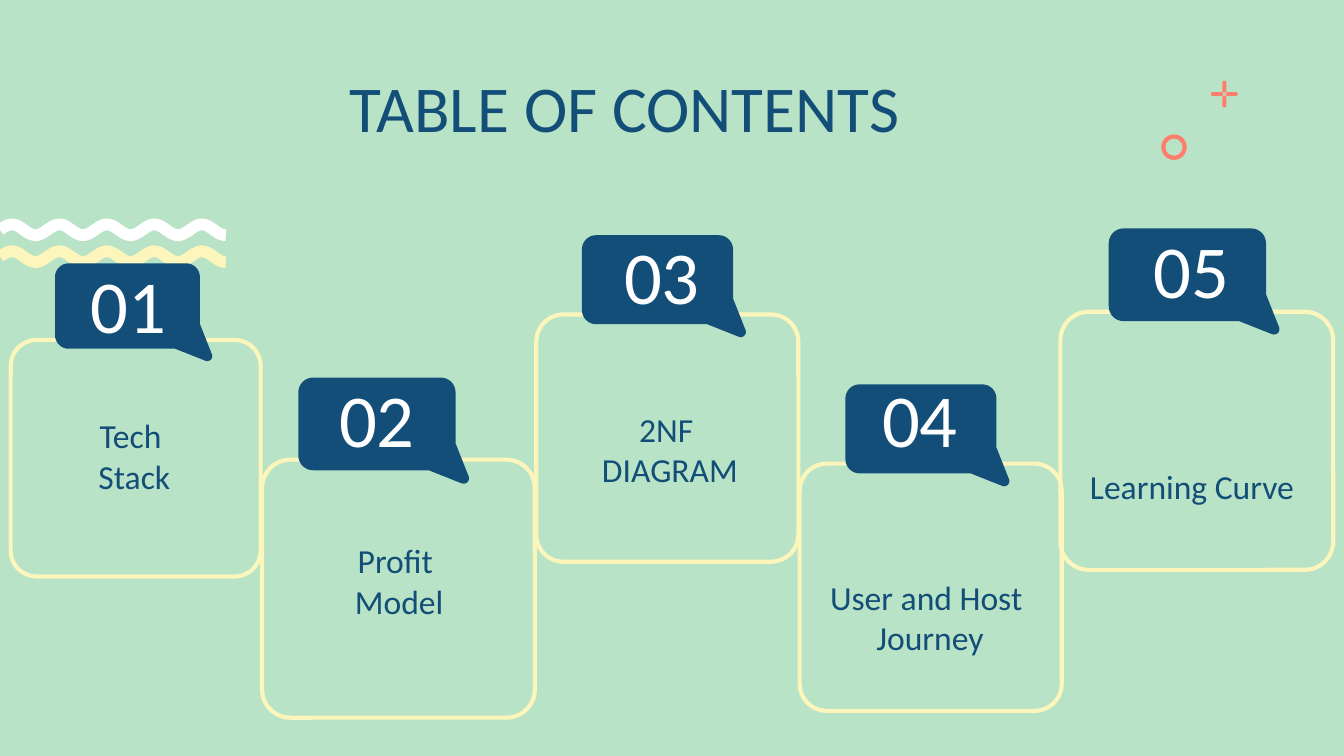
from math import cos, pi, radians, sin

from pptx import Presentation
from pptx.dml.color import RGBColor
from pptx.enum.shapes import MSO_SHAPE
from pptx.enum.text import MSO_ANCHOR, PP_ALIGN
from pptx.util import Inches, Pt

COLORS = {
    "mint": "B9E3C6",
    "navy": "124E78",
    "cream": "FCF6BD",
    "coral": "FF7E6B",
    "white": "FFFFFF",
}
FONT = "Calibri"

# number, card box, bubble left/top/width, number left/top, label lines, label box
SECTIONS = [
    ("01", (0.08, 2.53, 1.86, 1.76), (0.41, 1.96, 1.17), (0.37, 1.96),
     ["Tech ", "Stack"], (0.07, 3.06, 1.86, 0.63)),
    ("02", (1.95, 3.42, 2.03, 1.92), (2.22, 2.81, 1.27), (2.22, 2.81),
     ["Profit ", "Model"], (1.97, 4.12, 2, 0.5)),
    ("03", (3.99, 2.34, 1.95, 1.84), (4.33, 1.75, 1.22), (4.34, 1.75),
     ["2NF ", "DIAGRAM"], (4.01, 3.01, 1.95, 0.63)),
    ("04", (5.95, 3.45, 1.95, 1.84), (6.29, 2.86, 1.22), (6.26, 2.81),
     ["User and Host ", "Journey"], (5.92, 4.39, 2, 0.5)),
    ("05", (7.89, 2.32, 2.03, 1.92), (8.25, 1.7, 1.27), (8.28, 1.7),
     ["Learning Curve"], (7.87, 3.27, 2, 0.5)),
]


def color(name):
    return RGBColor.from_string(COLORS[name])


def arc(x, y, radius, start, end):
    """Points along a circle, with angles in degrees clockwise from the right."""
    steps = 8
    angles = [radians(start + (end - start) * i / steps) for i in range(steps + 1)]
    return [(x + radius * cos(a), y + radius * sin(a)) for a in angles]


def bubble_points():
    """Speech bubble outline, 1.27 wide, with its tail at the lower right."""
    width, height, radius = 1.17, 0.69, 0.11
    return [
        *arc(radius, radius, radius, 180, 270),
        *arc(width - radius, radius, radius, 270, 360),
        (width, 0.49),
        *arc(1.23, 0.75, 0.04, -20, 110),
        (0.97, height),
        *arc(radius, height - radius, radius, 90, 180),
    ]


class SlideBuilder:
    def __init__(self, page):
        self.page = page
        self.shapes = page.shapes

    def background(self, name):
        fill = self.page.background.fill
        fill.solid()
        fill.fore_color.rgb = color(name)

    def paint(self, shape, fill=None, line=None, weight=1):
        shape.shadow.inherit = False
        if fill:
            shape.fill.solid()
            shape.fill.fore_color.rgb = color(fill)
        else:
            shape.fill.background()
        if line:
            shape.line.color.rgb = color(line)
            shape.line.width = Pt(weight)
        else:
            shape.line.fill.background()

    def preset(self, kind, box, adjustment, **style):
        shape = self.shapes.add_shape(kind, *map(Inches, box))
        shape.adjustments[0] = adjustment
        self.paint(shape, **style)

    def outline(self, points, closed=True, **style):
        start, *rest = [(Inches(x), Inches(y)) for x, y in points]
        builder = self.shapes.build_freeform(*start)
        builder.add_line_segments(rest, close=closed)
        self.paint(builder.convert_to_shape(), **style)

    def wave(self, middle, name):
        end, half_period, height, steps = 1.68, 1.59 / 9, 0.04, 120
        xs = [end * i / steps for i in range(steps + 1)]
        points = [(x, middle - height * sin(pi * x / half_period)) for x in xs]
        self.outline(points, closed=False, line=name, weight=6.28)

    def bubble(self, left, top, width):
        scale = width / 1.27
        points = [(left + x * scale, top + y * scale) for x, y in bubble_points()]
        self.outline(points, fill="navy")

    def format_text(self, shape, lines, size, name, anchor):
        frame = shape.text_frame
        frame.word_wrap = True
        frame.vertical_anchor = anchor
        frame.margin_left = frame.margin_right = 0
        frame.margin_top = frame.margin_bottom = 0
        frame.text = "\n".join(lines)
        for paragraph in frame.paragraphs:
            paragraph.alignment = PP_ALIGN.CENTER
            paragraph.font.size = Pt(size)
            paragraph.font.name = FONT
            paragraph.font.color.rgb = color(name)

    def text(self, lines, box, size, name):
        shape = self.shapes.add_textbox(*map(Inches, box))
        self.format_text(shape, lines, size, name, MSO_ANCHOR.BOTTOM)

    def title(self, words, box):
        title = self.shapes.title
        title.left, title.top, title.width, title.height = map(Inches, box)
        self.format_text(title, [words], 35, "navy", MSO_ANCHOR.TOP)
        title.text_frame.margin_right = Inches(0.7)

    def sparkle(self, x, y):
        """Four short bars around an open centre."""
        length, thickness, gap = 0.09, 0.03, 0.02
        for near in (-gap / 2 - length, gap / 2):
            side = -thickness / 2
            for box in ((x + near, y + side, length, thickness),
                        (x + side, y + near, thickness, length)):
                self.preset(MSO_SHAPE.ROUNDED_RECTANGLE, box, 0.5, fill="coral")

    def section(self, number, card, bubble, number_corner, lines, label_box):
        self.preset(MSO_SHAPE.ROUNDED_RECTANGLE, card, 0.11,
                    line="cream", weight=2.2)
        self.bubble(*bubble)
        self.text([number], (*number_corner, 1.17, 0.63), 40, "white")
        self.text(lines, label_box, 18, "navy")


def main():
    deck = Presentation()
    deck.slide_width = Inches(10)
    deck.slide_height = deck.slide_width * 9 // 16
    slide = SlideBuilder(deck.slides.add_slide(deck.slide_layouts[5]))
    slide.background("mint")
    slide.title("TABLE OF CONTENTS", (0.78, 0.5, 8.44, 0.63))
    slide.wave(1.71, "white")
    slide.wave(1.91, "cream")
    slide.preset(MSO_SHAPE.DONUT, (8.64, 1, 0.19, 0.19), 0.16, fill="coral")
    slide.sparkle(9.11, 0.7)
    for section in SECTIONS:
        slide.section(*section)
    deck.save("out.pptx")


if __name__ == "__main__":
    main()
